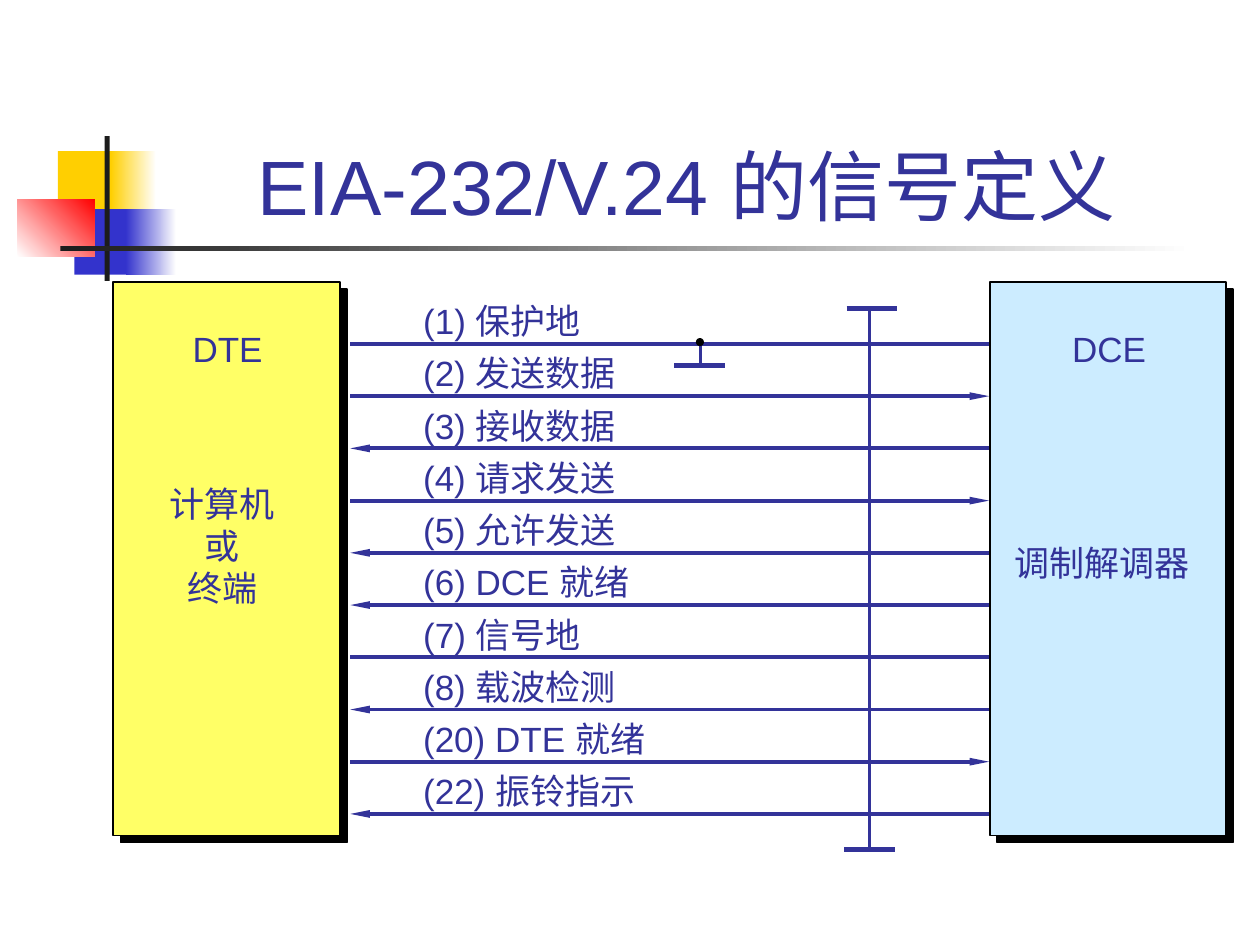
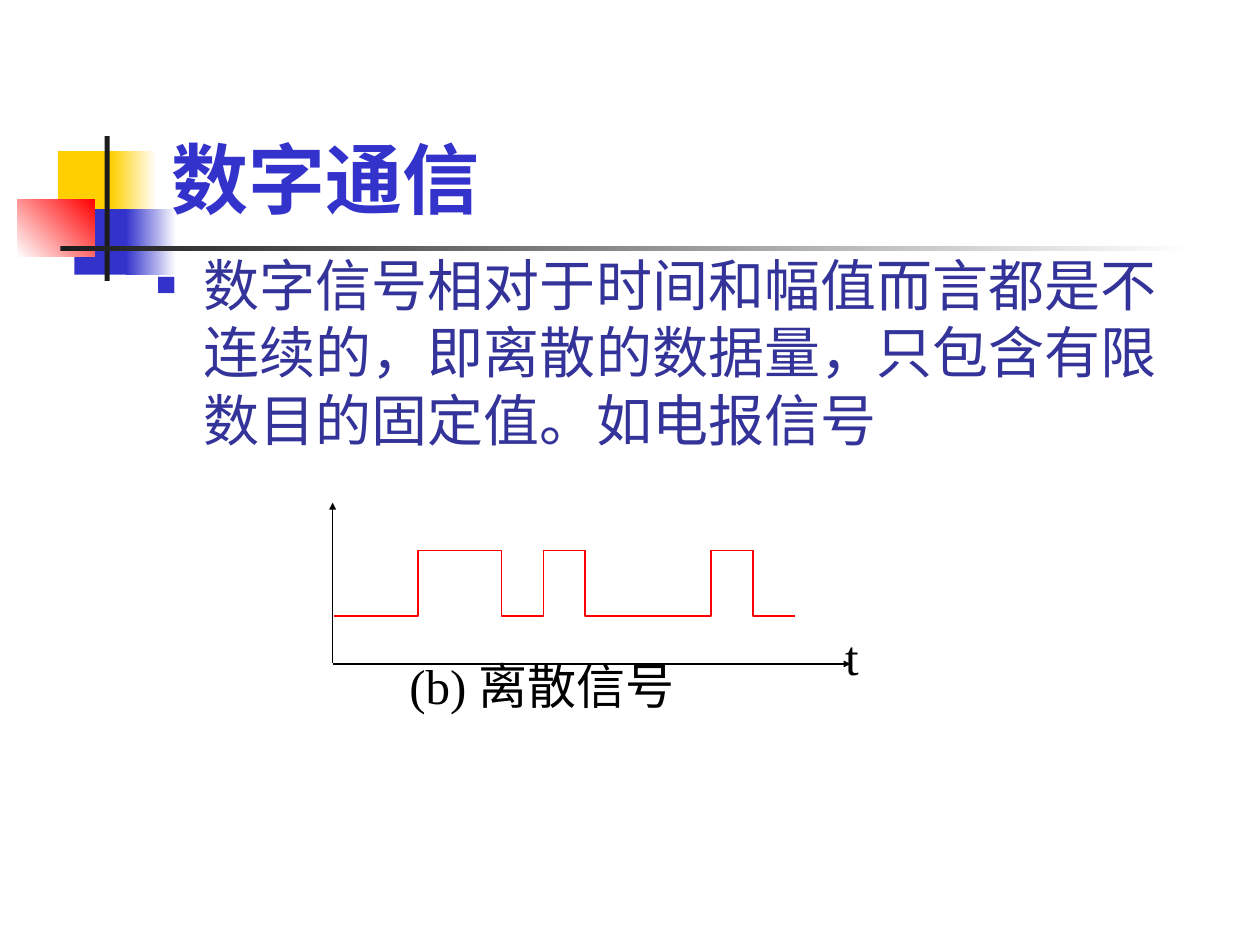
from lxml import etree
from pptx import Presentation
from pptx.dml.color import RGBColor
from pptx.enum.shapes import MSO_CONNECTOR, MSO_SHAPE
from pptx.enum.text import MSO_ANCHOR, MSO_AUTO_SIZE, PP_ALIGN
from pptx.oxml.ns import qn
from pptx.util import Inches, Pt

RECTANGLE = MSO_SHAPE.RECTANGLE
ELLIPSE = MSO_SHAPE.OVAL
STRAIGHT = MSO_CONNECTOR.STRAIGHT
TOP = MSO_ANCHOR.TOP
BOTTOM = MSO_ANCHOR.BOTTOM
LEFT = PP_ALIGN.LEFT
CENTER = PP_ALIGN.CENTER
GROW = MSO_AUTO_SIZE.SHAPE_TO_FIT_TEXT
FIXED = MSO_AUTO_SIZE.NONE

COLORS = {
    "ink": "333399",
    "blue": "3333CC",
    "gold": "FFCF01",
    "red": "FF0000",
    "dark": "1C1C1C",
    "black": "000000",
    "white": "FFFFFF",
    "terminal": "FFFF66",
    "modem": "CCECFF",
}
LABEL = {"name": "Arial", "size": Pt(20)}
TITLE = {"name": "Arial", "size": Pt(44)}
BODY = {"name": "Arial", "size": Pt(32)}
CAPTION = {"name": "Times New Roman", "size": Pt(28)}

DECORATION = [
    ((0.46, 1.2, 0.48, 0.52), ("gold",), 0),
    ((0.88, 1.2, 0.36, 0.52), ("gold", "white"), 0),
    ((0.59, 1.66, 0.46, 0.52), ("blue",), 0),
    ((1, 1.66, 0.4, 0.52), ("blue", "white"), 0),
    ((0.14, 1.58, 0.61, 0.46), ("white", "red"), 45),
    ((0.83, 1.08, 0.04, 1.15), ("dark",), 0),
    ((0.48, 1.95, 9, 0.04), ("dark", "white"), 0),
]
SIGNALS = [
    ("(1) 保护地", 1.52, None),
    ("(2) 发送数据", 1.8, "tail"),
    ("(3) 接收数据", 1.8, "head"),
    ("(4) 请求发送", 1.8, "tail"),
    ("(5) 允许发送", 1.8, "head"),
    ("(6) DCE 就绪", 1.95, "head"),
    ("(7) 信号地", 1.52, None),
    ("(8) 载波检测", 1.8, "head"),
    ("(20) DTE 就绪", 2.03, "tail"),
    ("(22) 振铃指示", 1.95, "head"),
]
FIRST_SIGNAL_Y, LAST_SIGNAL_Y = 2.73, 6.46
WIRE_LEFT, WIRE_RIGHT = 2.78, 7.85
BITS = (0, 0, 1, 1, 0, 1, 0, 0, 0, 1, 0)


def color(name):
    return RGBColor.from_string(COLORS[name])


def add_shape(shapes, kind, place, fills, angle=0, outline=None):
    shape = shapes.add_shape(kind, *map(Inches, place))
    shape.shadow.inherit = False
    if len(fills) == 1:
        shape.fill.solid()
        shape.fill.fore_color.rgb = color(fills[0])
    else:
        shape.fill.gradient()
        shape.fill.gradient_angle = angle
        for stop, name in zip(shape.fill.gradient_stops, fills):
            stop.color.rgb = color(name)
    if outline:
        shape.line.color.rgb = color(outline)
        shape.line.width = Pt(1)
    else:
        shape.line.fill.background()
    return shape


def add_device(shapes, place, fill):
    box = add_shape(shapes, RECTANGLE, place, (fill,), outline="black")
    effects = box._element.spPr.find(qn("a:effectLst"))
    shadow = etree.SubElement(
        effects, qn("a:outerShdw"), dist=str(Pt(5.7)), dir="2700000",
        algn="ctr", rotWithShape="0")
    etree.SubElement(shadow, qn("a:srgbClr"), val=COLORS["black"])


def add_line(shapes, start, end, name, width, arrow=None, length="sm"):
    line = shapes.add_connector(STRAIGHT, *map(Inches, (*start, *end)))
    line.line.color.rgb = color(name)
    line.line.width = Pt(width)
    properties = line._element.spPr
    if arrow:
        etree.SubElement(properties.find(qn("a:ln")), qn(f"a:{arrow}End"),
                         type="triangle", w="sm", len=length)
    etree.SubElement(properties, qn("a:effectLst"))


def add_text(shapes, place, lines, style, name, align=LEFT, anchor=TOP,
             wrap=True, bold=False):
    box = shapes.add_textbox(*map(Inches, place))
    frame = box.text_frame
    layout = {"word_wrap": wrap, "vertical_anchor": anchor,
              "auto_size": FIXED if wrap else GROW}
    for key, value in layout.items():
        setattr(frame, key, value)
    for index, text in enumerate(lines):
        para = frame.add_paragraph() if index else frame.paragraphs[0]
        para.alignment = align
        span = para.add_run()
        span.text = text
        for key, value in {**style, "bold": bold}.items():
            setattr(span.font, key, value)
        span.font.color.rgb = color(name)
    return box


def add_label(shapes, place, *lines, align=LEFT):
    add_text(shapes, place, lines, LABEL, "ink", align, wrap=False)


def add_bullet(para):
    properties = para._p.get_or_add_pPr()
    properties.set("marL", str(Inches(0.38)))
    properties.set("indent", str(Inches(-0.38)))
    bullet_color = etree.SubElement(properties, qn("a:buClr"))
    etree.SubElement(bullet_color, qn("a:srgbClr"), val=COLORS["blue"])
    etree.SubElement(properties, qn("a:buSzPct"), val="60000")
    etree.SubElement(properties, qn("a:buFont"), typeface="Arial")
    etree.SubElement(properties, qn("a:buChar"), char="■")


def add_pulses(shapes, left, right, low, high):
    step = (right - left) / len(BITS)
    points = []
    for index, bit in enumerate(BITS):
        level = high if bit else low
        points += [(left + index * step, level),
                   (left + (index + 1) * step, level)]
    corners = [tuple(map(Inches, point)) for point in points]
    builder = shapes.build_freeform(*corners[0], scale=1.0)
    builder.add_line_segments(corners[1:], close=False)
    wave = builder.convert_to_shape()
    wave.shadow.inherit = False
    wave.fill.background()
    wave.line.color.rgb = color("red")
    wave.line.width = Pt(1)


def add_page(deck, title, place, name, **options):
    page = deck.slides.add_slide(deck.slide_layouts[6])
    for spot, fills, angle in DECORATION:
        add_shape(page.shapes, RECTANGLE, spot, fills, angle)
    add_text(page.shapes, place, [title], TITLE, name, anchor=BOTTOM, **options)
    return page.shapes


def build_signal_page(deck):
    shapes = add_page(deck, "EIA-232/V.24 的信号定义", (1.19, 0.28, 8.52, 1.6),
                      "ink", align=CENTER)
    add_device(shapes, (0.9, 2.24, 1.8, 4.39), "terminal")
    add_device(shapes, (7.86, 2.24, 1.87, 4.39), "modem")
    pitch = (LAST_SIGNAL_Y - FIRST_SIGNAL_Y) / (len(SIGNALS) - 1)
    for index, (text, width, arrow) in enumerate(SIGNALS):
        y = FIRST_SIGNAL_Y + index * pitch
        add_line(shapes, (WIRE_LEFT, y), (WIRE_RIGHT, y), "ink", 2.25,
                 arrow, "lg")
        add_label(shapes, (3.26, y - 0.4, width, 0.43), text)
    add_line(shapes, (5.56, 2.74), (5.56, 2.89), "ink", 1.5)
    add_shape(shapes, ELLIPSE, (5.53, 2.69, 0.05, 0.05), ("black",),
              outline="black")
    for left, y in ((5.35, 2.9), (6.7, 6.74), (6.72, 2.45)):
        add_line(shapes, (left, y), (left + 0.4, y), "ink", 3)
    add_line(shapes, (6.9, 2.45), (6.9, 6.73), "ink", 1.5)
    add_label(shapes, (1.43, 2.55, 0.76, 0.43), "DTE")
    add_label(shapes, (8.41, 2.55, 0.79, 0.43), "DCE")
    add_label(shapes, (1.21, 3.78, 1.11, 1.1), "计算机", "或", "终端",
              align=CENTER)
    add_label(shapes, (7.95, 4.25, 1.59, 0.43), "调制解调器")


def build_digital_page(deck):
    shapes = add_page(deck, "数字通信", (1.26, 0.23, 8.52, 1.6), "blue",
                      bold=True)
    body = add_text(
        shapes, (1.14, 1.94, 8.5, 4.5),
        ["数字信号相对于时间和幅值而言都是不连续的，即离散的数据量，"
         "只包含有限数目的固定值。如电报信号"], BODY, "ink")
    add_bullet(body.text_frame.paragraphs[0])
    graph = shapes.add_group_shape().shapes
    add_line(graph, (2.64, 5.27), (6.75, 5.27), "black", 0.75, "tail")
    add_line(graph, (2.64, 5.26), (2.64, 3.99), "black", 0.75, "tail")
    add_pulses(graph, 2.65, 6.31, 4.89, 4.37)
    add_text(graph, (6.61, 4.92, 0.67, 0.72), ["t"], CAPTION, "black")
    add_text(graph, (3.15, 5.15, 2.75, 0.72), ["(b) 离散信号"], CAPTION, "black")


def main():
    deck = Presentation()
    deck.slide_width = Inches(10)
    deck.slide_height = Inches(7.5)
    build_signal_page(deck)
    build_digital_page(deck)
    deck.save("out.pptx")


if __name__ == "__main__":
    main()
